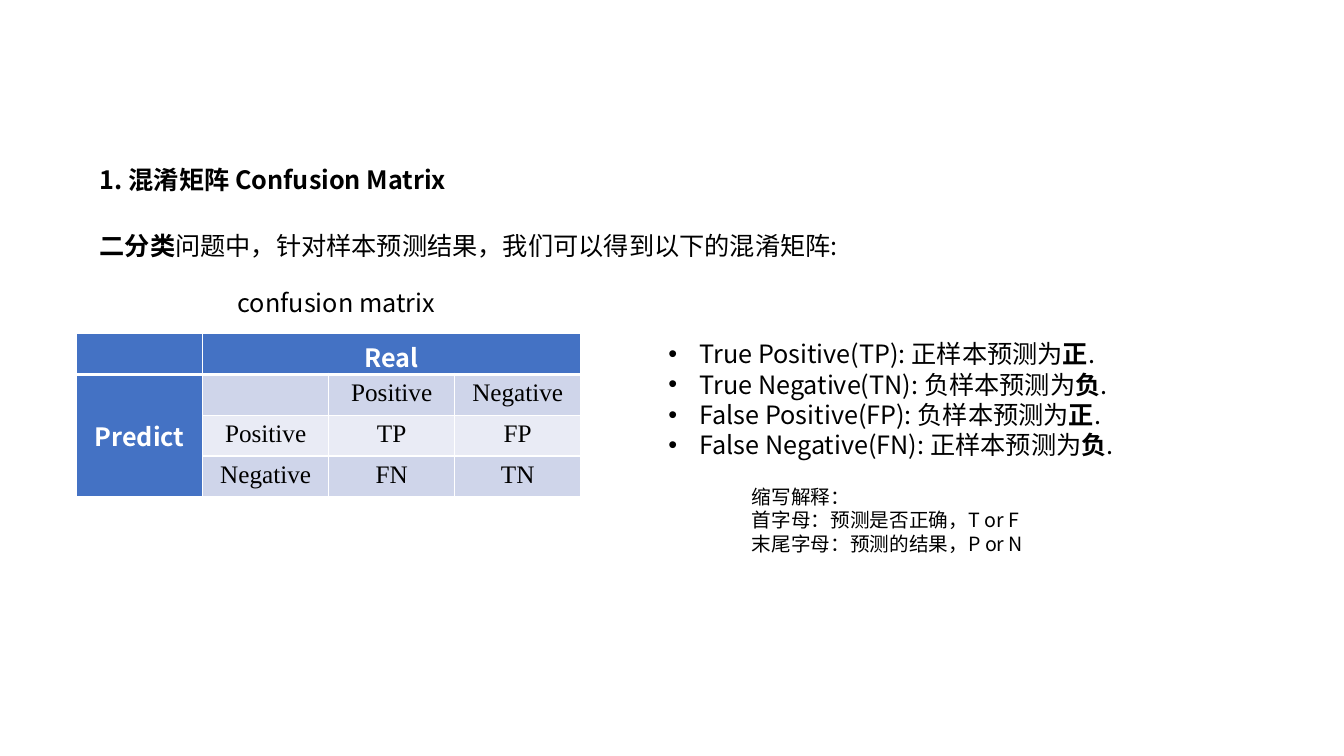
"""Build a slide that explains the confusion matrix."""
from lxml import etree
from pptx import Presentation
from pptx import util as u
from pptx.dml import color
from pptx.enum import text
from pptx.oxml import ns

SANS, SERIF = "Noto Sans CJK SC", "Times New Roman"
BLACK, WHITE, BLUE = "000000", "FFFFFF", "4472C4"
BANDS = ["CFD5EA", "E9EBF5"]


def rgb(value):
    """Turn a hex string into a colour."""
    return color.RGBColor.from_string(value)


def add_run(paragraph, words, size=18, bold=False, font=SANS, ink=BLACK):
    """Append one formatted run to a paragraph."""
    run = paragraph.add_run()
    run.text = words
    run.font.size, run.font.bold, run.font.name = u.Pt(size), bold, font
    run.font.color.rgb = rgb(ink)
    properties = run._r.get_or_add_rPr()
    etree.SubElement(properties, ns.qn("a:ea")).set("typeface", font)


def fill_text(shape, box, lines, bulleted=False, **style):
    """Place a shape and write lines of (words, bold) runs in it."""
    shape.left, shape.top, shape.width, shape.height = map(u.Inches, box)
    frame = shape.text_frame
    frame.word_wrap = False
    frame.auto_size = text.MSO_AUTO_SIZE.SHAPE_TO_FIT_TEXT
    frame.vertical_anchor = text.MSO_ANCHOR.TOP
    for index, runs in enumerate(lines):
        paragraph = frame.add_paragraph() if index else frame.paragraphs[0]
        paragraph.alignment = text.PP_ALIGN.LEFT
        paragraph.space_before = u.Pt(0)
        if bulleted:
            properties = paragraph._p.get_or_add_pPr()
            properties.set("marL", str(u.Inches(0.31)))
            properties.set("indent", str(-u.Inches(0.31)))
        for words, bold in runs:
            add_run(paragraph, words, bold=bold, **style)


def add_label(slide, box, lines, **style):
    """Add a text box."""
    shape = slide.shapes.add_textbox(*map(u.Inches, box))
    fill_text(shape, box, lines, **style)


def format_cell(cell, fill, bottom=1):
    """Fill a cell and give it white borders."""
    properties = cell._tc.get_or_add_tcPr()
    for side, width in (("L", 1), ("R", 1), ("T", 1), ("B", bottom)):
        line = etree.SubElement(properties, ns.qn("a:ln" + side), w=str(u.Pt(width)))
        solid = etree.SubElement(line, ns.qn("a:solidFill"))
        etree.SubElement(solid, ns.qn("a:srgbClr"), val=WHITE)
    cell.fill.solid()
    cell.fill.fore_color.rgb = rgb(fill)


def add_matrix(slide, box):
    """Add the confusion matrix as a table."""
    rows = [
        ["", "Real", "", ""],
        ["Predict", "", "Positive", "Negative"],
        ["", "Positive", "TP", "FP"],
        ["", "Negative", "FN", "TN"],
    ]
    table = slide.shapes.add_table(4, 4, *map(u.Inches, box)).table
    for row, labels in enumerate(rows):
        for column, label in enumerate(labels):
            cell = table.cell(row, column)
            heading = row == 0 or column == 0
            format_cell(cell, BLUE if heading else BANDS[(row - 1) % 2],
                        bottom=1 if row else 3)
            if label:
                paragraph = cell.text_frame.paragraphs[0]
                paragraph.alignment = text.PP_ALIGN.CENTER
                add_run(paragraph, label, bold=heading,
                        font=SANS if heading else SERIF,
                        ink=WHITE if heading else BLACK)
    table.cell(0, 1).merge(table.cell(0, 3))
    table.cell(1, 0).merge(table.cell(3, 0))
    table.cell(1, 0).vertical_anchor = text.MSO_ANCHOR.MIDDLE


def add_definitions(shape, box):
    """List the four outcomes in the body placeholder."""
    outcomes = [
        ("True Positive(TP): 正", "正"),
        ("True Negative(TN): 负", "负"),
        ("False Positive(FP): 负", "正"),
        ("False Negative(FN): 正", "负"),
    ]
    lines = [[(name + "样本预测为", False), (result, True), (".", False)]
             for name, result in outcomes]
    fill_text(shape, box, lines, bulleted=True)


def build_slide(presentation):
    """Add the confusion matrix slide."""
    slide = presentation.slides.add_slide(presentation.slide_layouts[1])
    title, body = slide.placeholders
    fill_text(title, (0.89, 1.58, 3.8, 0.4),
              [[("1. 混淆矩阵 Confusion Matrix", True)]])
    add_label(slide, (0.89, 2.24, 7.58, 0.4),
              [[("二分类", True),
                ("问题中，针对样本预测结果，我们可以得到以下的混淆矩阵:", False)]])
    add_label(slide, (2.26, 2.8, 2.23, 0.4), [[("confusion matrix", False)]])
    add_matrix(slide, (0.76, 3.31, 5, 1.62))
    add_definitions(body, (6.53, 3.31, 4.75, 1.31))
    notes = ["缩写解释：", "首字母：预测是否正确，T or F", "末尾字母：预测的结果，P or N"]
    add_label(slide, (7.36, 4.76, 2.96, 0.81),
              [[(note, False)] for note in notes], size=14)


presentation = Presentation()
presentation.slide_width = u.Inches(13.33)
presentation.slide_height = u.Inches(7.5)
build_slide(presentation)
presentation.save("out.pptx")
